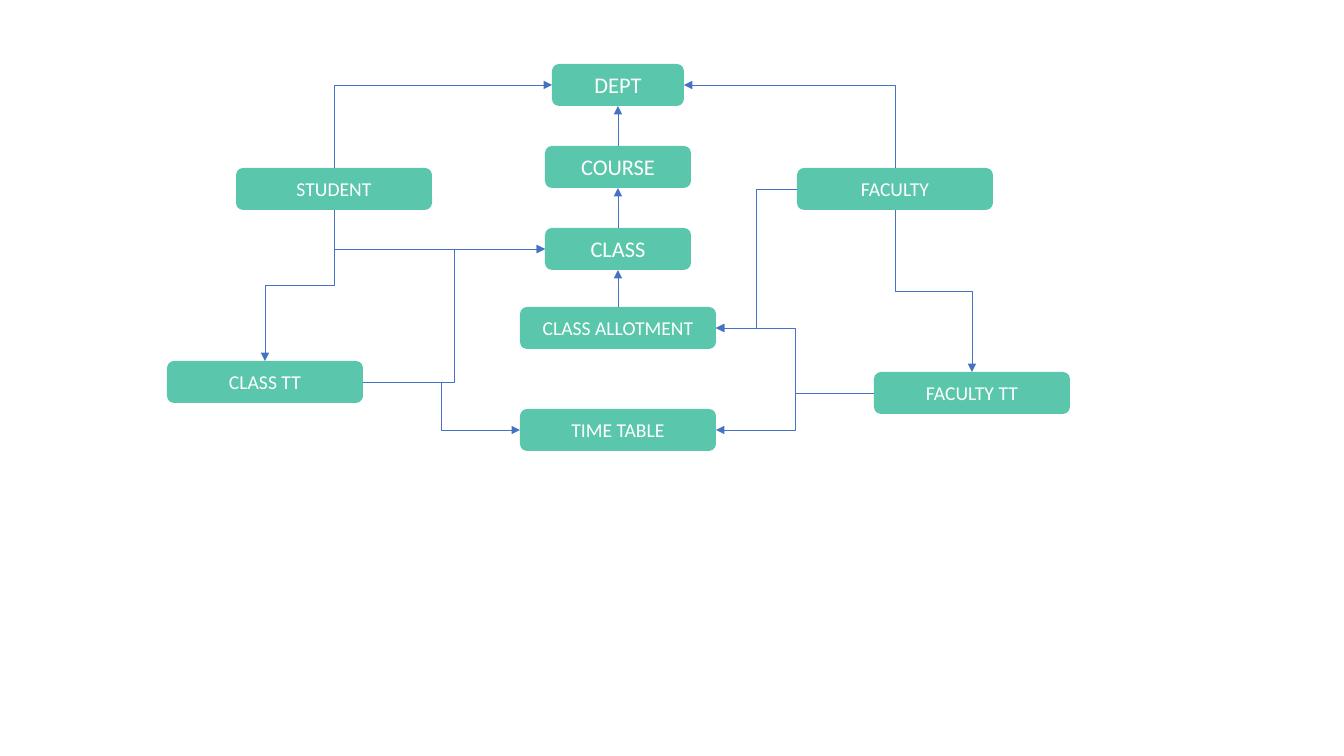
from dataclasses import dataclass
from lxml.etree import SubElement
from pptx import Presentation
from pptx.dml.color import RGBColor
from pptx.enum.shapes import MSO_CONNECTOR, MSO_SHAPE
from pptx.enum.text import MSO_ANCHOR, PP_ALIGN
from pptx.oxml.ns import qn
from pptx.util import Pt

SCALE = 914400 / 100.8
TOP, LEFT, BOTTOM, RIGHT = range(4)
UPRIGHT = (TOP, BOTTOM)


def px(count):
    return round(count * SCALE)


@dataclass
class Theme:
    fill: RGBColor = RGBColor(0x5A, 0xC6, 0xAC)
    text: RGBColor = RGBColor(0xFF, 0xFF, 0xFF)
    line: RGBColor = RGBColor(0x44, 0x72, 0xC4)
    font: str = "Calibri"
    large: int = 16
    small: int = 14
    weight: float = 0.5


class Chart:
    def __init__(self, slide, theme):
        self.slide = slide
        self.theme = theme

    def box(self, label, center, top, width, size):
        shape = self.slide.shapes.add_shape(
            MSO_SHAPE.ROUNDED_RECTANGLE,
            px(center - width // 2), px(top), px(width), px(42))
        shape.shadow.inherit = False
        shape.fill.solid()
        shape.fill.fore_color.rgb = self.theme.fill
        shape.line.fill.background()
        frame = shape.text_frame
        frame.vertical_anchor = MSO_ANCHOR.MIDDLE
        para = frame.paragraphs[0]
        para.text = label
        para.alignment = PP_ALIGN.CENTER
        para.font.name = self.theme.font
        para.font.size = Pt(size)
        para.font.color.rgb = self.theme.text
        return shape

    def arrow(self, start, exit, end, entry, bent=True):
        kind = MSO_CONNECTOR.ELBOW if bent else MSO_CONNECTOR.STRAIGHT
        link = self.slide.shapes.add_connector(kind, 0, 0, 0, 0)
        link.begin_connect(start, exit)
        link.end_connect(end, entry)
        if bent and exit in UPRIGHT:
            self.turn(link, entry)
        link.line.color.rgb = self.theme.line
        link.line.width = Pt(self.theme.weight)
        SubElement(link.line._get_or_add_ln(), qn("a:tailEnd"), type="triangle")
        SubElement(link._element.spPr, qn("a:effectLst"))

    def turn(self, link, entry):
        across = link.end_x - link.begin_x
        down = link.end_y - link.begin_y
        mid_x = (link.begin_x + link.end_x) // 2
        mid_y = (link.begin_y + link.end_y) // 2
        link.width, link.height = abs(down), abs(across)
        link.left = mid_x - link.width // 2
        link.top = mid_y - link.height // 2
        props = link._element.spPr
        frame = props.find(qn("a:xfrm"))
        frame.set("rot", "5400000")
        frame.set("flipH", str(int(down < 0)))
        frame.set("flipV", str(int(across > 0)))
        if entry not in UPRIGHT:
            props.find(qn("a:prstGeom")).set("prst", "bentConnector2")


deck = Presentation()
deck.slide_width, deck.slide_height = px(1344), px(756)
theme = Theme()
chart = Chart(deck.slides.add_slide(deck.slide_layouts[6]), theme)

MAIN, WIDE = 618, 196
dept = chart.box("DEPT", MAIN, 64, 132, theme.large)
course = chart.box("COURSE", MAIN, 146, 146, theme.large)
group = chart.box("CLASS", MAIN, 228, 146, theme.large)
allot = chart.box("CLASS ALLOTMENT", MAIN, 307, WIDE, theme.small)
table = chart.box("TIME TABLE", MAIN, 409, WIDE, theme.small)
student = chart.box("STUDENT", 334, 168, WIDE, theme.small)
staff = chart.box("FACULTY", 895, 168, WIDE, theme.small)
staff_tt = chart.box("FACULTY TT", 972, 372, WIDE, theme.small)
group_tt = chart.box("CLASS TT", 265, 361, WIDE, theme.small)

for lower, upper in ((allot, group), (group, course), (course, dept)):
    chart.arrow(lower, TOP, upper, BOTTOM, bent=False)

for route in (
    (staff, TOP, dept, RIGHT),
    (student, TOP, dept, LEFT),
    (student, BOTTOM, group, LEFT),
    (staff, LEFT, allot, RIGHT),
    (staff, BOTTOM, staff_tt, TOP),
    (student, BOTTOM, group_tt, TOP),
    (staff_tt, LEFT, table, RIGHT),
    (staff_tt, LEFT, allot, RIGHT),
    (group_tt, RIGHT, table, LEFT),
    (group_tt, RIGHT, group, LEFT),
):
    chart.arrow(*route)

deck.save("out.pptx")
